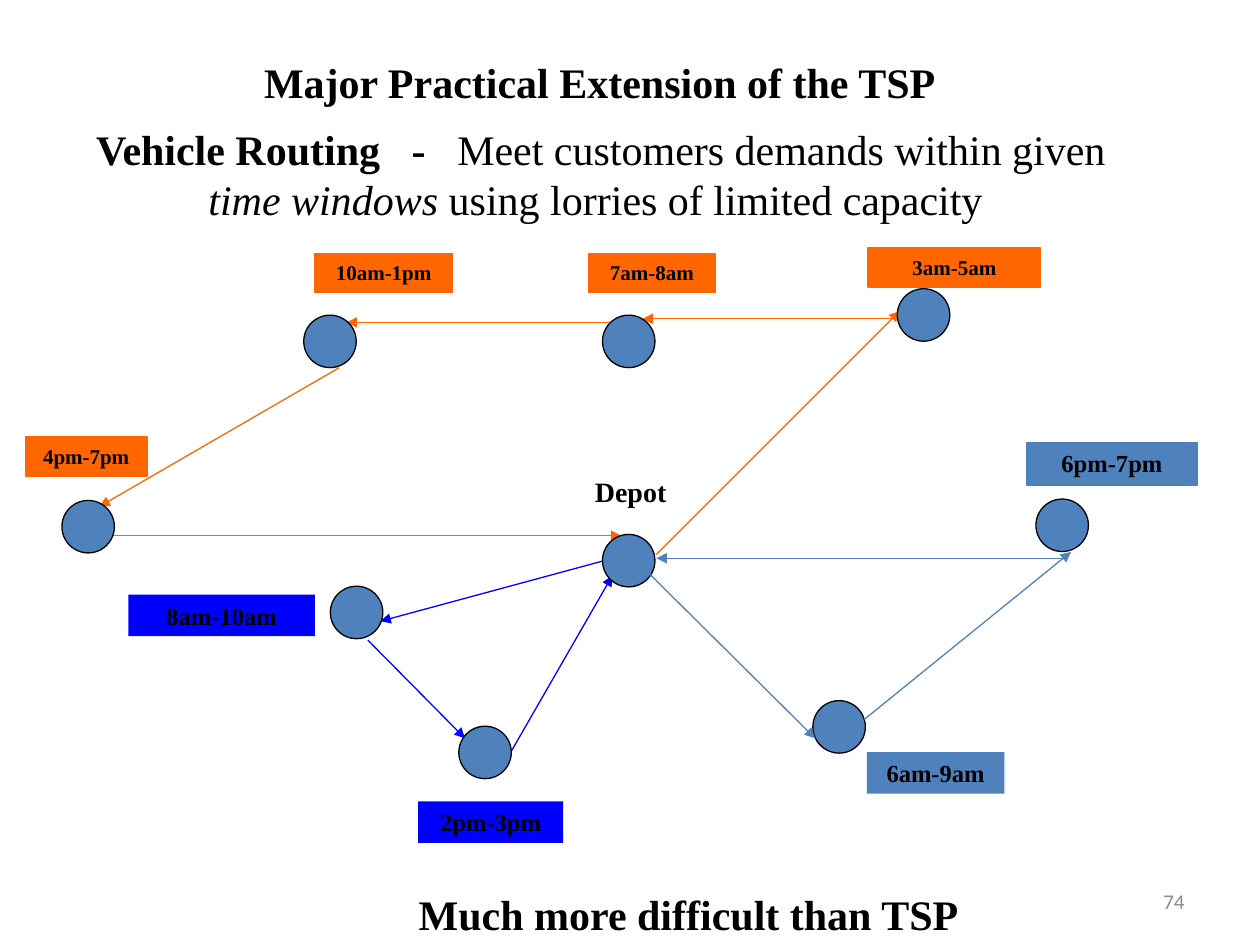
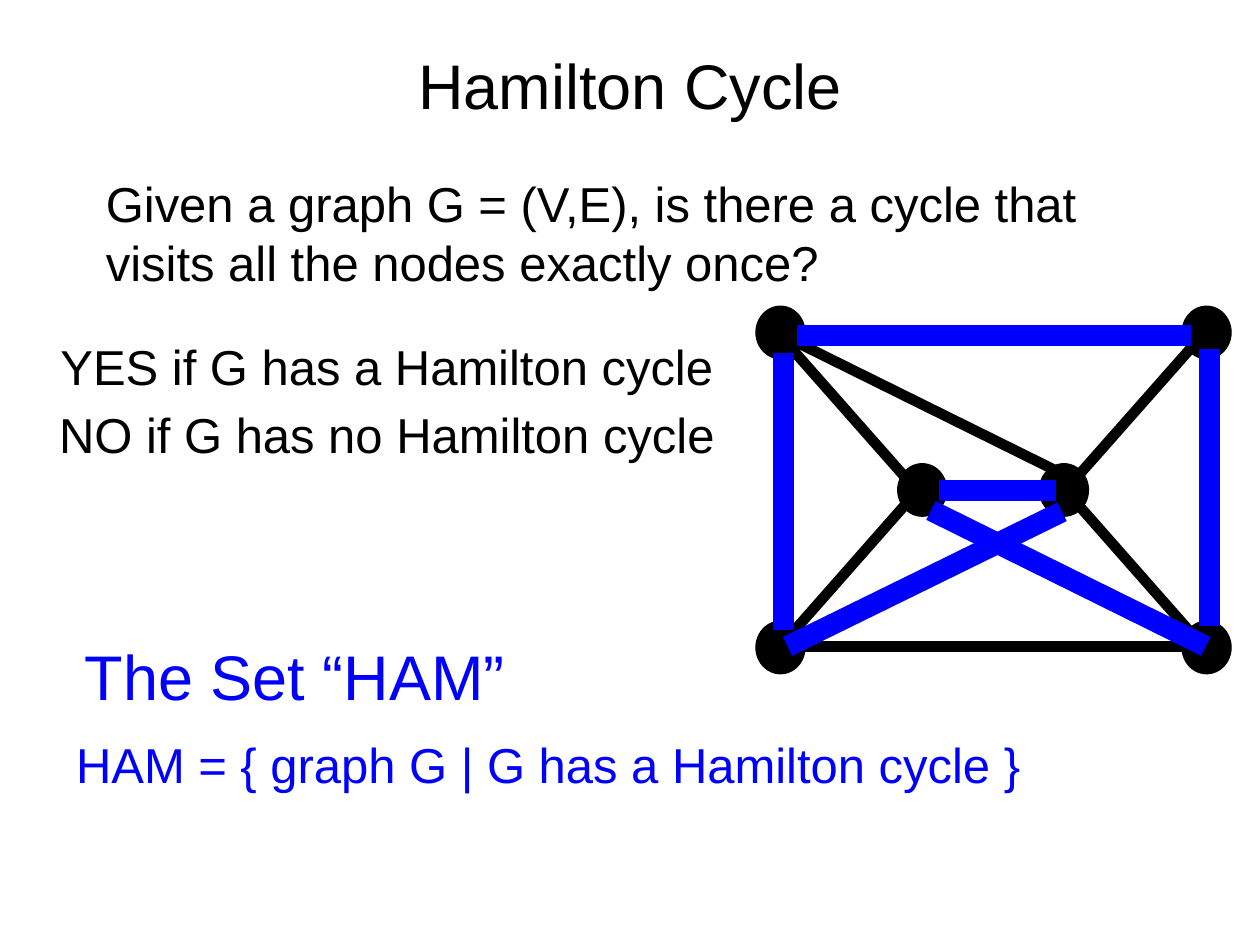
from lxml import etree
from pptx import Presentation
from pptx.dml.color import RGBColor
from pptx.enum import shapes, text
from pptx.oxml import ns
from pptx.util import Pt

BLACK = RGBColor(0, 0, 0)
GREY = RGBColor(0x8C, 0x8C, 0x8C)
BLUE = RGBColor(0, 0, 0xFF)
ORANGE = RGBColor(0xFF, 0x66, 0)
STEEL = RGBColor(0x4F, 0x81, 0xBD)
SERIF, SANS = "Times New Roman", "Arial"
MID, LEFT, RIGHT = text.PP_ALIGN.CENTER, text.PP_ALIGN.LEFT, text.PP_ALIGN.RIGHT
TOP = text.MSO_ANCHOR.TOP


def write(shape, runs, box=None, font=SERIF, size=24, ink=BLACK, align=MID,
          wrap=True, anchor=TOP):
    """Fill a shape with one paragraph; runs are (words, style) with b or i."""
    if box:
        shape.left, shape.top, shape.width, shape.height = map(Pt, box)
    frame = shape.text_frame
    frame.word_wrap = wrap
    frame.auto_size = text.MSO_AUTO_SIZE.NONE
    frame.vertical_anchor = anchor
    para = frame.paragraphs[0]
    para.alignment = align
    para.space_before = Pt(0)
    props = para._p.get_or_add_pPr()
    props.set("marL", "0")
    props.set("indent", "0")
    etree.SubElement(props, ns.qn("a:buNone"))
    for words, style in runs:
        run = para.add_run()
        run.text = words
        run.font.name, run.font.size = font, Pt(size)
        run.font.bold, run.font.italic = "b" in style, "i" in style
        run.font.color.rgb = ink


def link(slide, ends, ink, width=0.75, arrow=True):
    line = slide.shapes.add_connector(shapes.MSO_CONNECTOR.STRAIGHT, *map(Pt, ends))
    line.line.color.rgb = ink
    line.line.width = Pt(width)
    if arrow:
        etree.SubElement(line.line._get_or_add_ln(), ns.qn("a:tailEnd"), type="triangle")
    etree.SubElement(line._element.spPr, ns.qn("a:effectLst"))


deck = Presentation()
deck.slide_width, deck.slide_height = Pt(720), Pt(540)
route, cycle = [deck.slides.add_slide(deck.slide_layouts[1]) for _ in range(2)]

# Titles and lead texts
write(route.shapes.title, [("Major Practical Extension of the TSP", "b")],
      (143.3, 28.8, 398.9, 36), wrap=False)
write(route.placeholders[1],
      [("Vehicle Routing   -   ", "b"), ("Meet customers demands within given ", ""),
       ("time windows", "i"), (" using lorries of limited capacity ", "")],
      (29.5, 67, 627.8, 64.8))
write(cycle.shapes.title, [("Hamilton Cycle", "")], (230.4, 23, 259.2, 51.1),
      font=SANS, size=36, wrap=False)
write(cycle.placeholders[1],
      [("Given a graph G = (V,E), is there a cycle that visits all the nodes exactly once?", "")],
      (53.3, 95.8, 613.4, 74.2), font=SANS, size=28, align=LEFT)

# Tours of two lorries
tours = {
    BLUE: [(347.8, 319.7, 217.4, 355), (210.2, 365.8, 265.7, 421.9),
           (292.3, 429.1, 349.9, 329)],
    ORANGE: [(357.8, 184.3, 198, 184.3), (532.8, 182.2, 367.2, 182.2),
             (193.7, 210.2, 56.9, 289.4), (375.1, 316.8, 514.1, 177.8),
             (63.4, 306, 355, 306)],
}
for ink, legs in tours.items():
    for ends in legs:
        link(route, ends, ink)

# Time windows: words, box, colour, text size, outlined
windows = [
    ("8am-10am", (73.4, 339.8, 106.6, 23.8), BLUE, 14, False),
    ("2pm-3pm", (239, 457.9, 82.8, 23.8), BLUE, 14, False),
    ("3am-5am", (496.1, 141.8, 98.6, 22.3), ORANGE, 12, True),
    ("7am-8am", (336.2, 144.7, 72.7, 22.3), ORANGE, 12, True),
    ("10am-1pm", (180, 144.7, 78.5, 22.3), ORANGE, 12, True),
    ("4pm-7pm", (14.4, 249.8, 69.8, 22.3), ORANGE, 12, True),
    ("6am-9am", (495.4, 429.8, 78.5, 23.8), STEEL, 14, False),
    ("6pm-7pm", (586.8, 252.7, 97.2, 24.5), STEEL, 14, True),
]
for words, box, fill, size, edge in windows:
    tag = route.shapes.add_shape(shapes.MSO_SHAPE.RECTANGLE, *map(Pt, box))
    tag.shadow.inherit = False
    tag.fill.solid()
    tag.fill.fore_color.rgb = fill
    if edge:
        tag.line.color.rgb = fill
        tag.line.width = Pt(0.75)
    else:
        tag.line.fill.background()
    write(tag, [(words, "b")], size=size)

# Stops and graph nodes, given by their centres
stops = [(50.4, 301), (359.3, 320.4), (527.8, 180), (359.3, 195.1), (188.6, 195.1),
         (203.8, 350), (277.2, 430), (479.5, 415.4), (607, 300.2)]
nodes = [(x, y) for x in (446, 689.5) for y in (190, 370)] + [(527, 280), (608, 280)]
for slide, spots, wide, fill in ((route, stops, 30, STEEL), (cycle, nodes, 28, BLACK)):
    for x, y in spots:
        dot = slide.shapes.add_shape(shapes.MSO_SHAPE.OVAL, Pt(x - wide / 2),
                                     Pt(y - 15), Pt(wide), Pt(30))
        dot.shadow.inherit = False
        dot.fill.solid()
        dot.fill.fore_color.rgb = fill
        dot.line.color.rgb = BLACK
        dot.line.width = Pt(0.75)

# The third lorry runs above the stops
for ends in [(368.6, 325.4, 465.8, 421.9), (609.1, 319, 375.1, 319),
             (493.9, 411.1, 612, 315.4)]:
    link(route, ends, STEEL)

# Graph edges; the cycle is drawn again, slightly shifted, in blue
ring = [(446.4, 200.9, 446.4, 359.3), (689.8, 198.7, 689.8, 357.1),
        (454.3, 190.8, 679, 190.8), (535, 279.4, 601.9, 279.4),
        (605.5, 291.6, 448.6, 368.6), (530.6, 290.9, 687.6, 368.6)]
rest = [(455, 369.4, 679.7, 369.4), (450.7, 197.3, 520.6, 276.5),
        (611.3, 283, 681.1, 362.2), (523.4, 281.5, 453.6, 360.7),
        (682.6, 196.6, 612, 276.5), (451.4, 193.7, 608.4, 271.4)]
for ends in ring + rest:
    link(cycle, ends, BLACK, 6, arrow=False)
for x1, y1, x2, y2 in ring:
    link(cycle, (x1 + 1.4, y1 + 0.8, x2 + 1.4, y2 + 0.8), BLUE, 12, arrow=False)

# Free texts
bold = {"font": SERIF}
sans = {"font": SANS, "size": 28, "wrap": False}
notes = [
    (route, "Depot", "b", (316.1, 267.8, 88.6, 26.6), {**bold, "size": 16}),
    (route, "Much more difficult than TSP", "b", (141.1, 504, 504.7, 36), bold),
    (route, "74", "", (516.2, 500.4, 167.8, 28.8),
     {"font": "Calibri", "size": 12, "ink": GREY, "align": RIGHT,
      "anchor": text.MSO_ANCHOR.MIDDLE}),
    (cycle, "YES if G has a Hamilton cycle", "", (25.2, 188.6, 391.7, 41), sans),
    (cycle, "NO if G has no Hamilton cycle", "", (24.5, 227.5, 393.1, 41), sans),
    (cycle, "The Set “HAM”", "", (32.4, 360.7, 272.2, 50.4),
     {**sans, "size": 36, "ink": BLUE}),
    (cycle, "HAM = { graph G | G has a Hamilton cycle }", "",
     (33.1, 416.2, 560.2, 41), {**sans, "ink": BLUE}),
]
for slide, words, style, box, form in notes:
    note = slide.shapes.add_textbox(*map(Pt, box))
    write(note, [(words, style)], **form)

deck.save("out.pptx")
